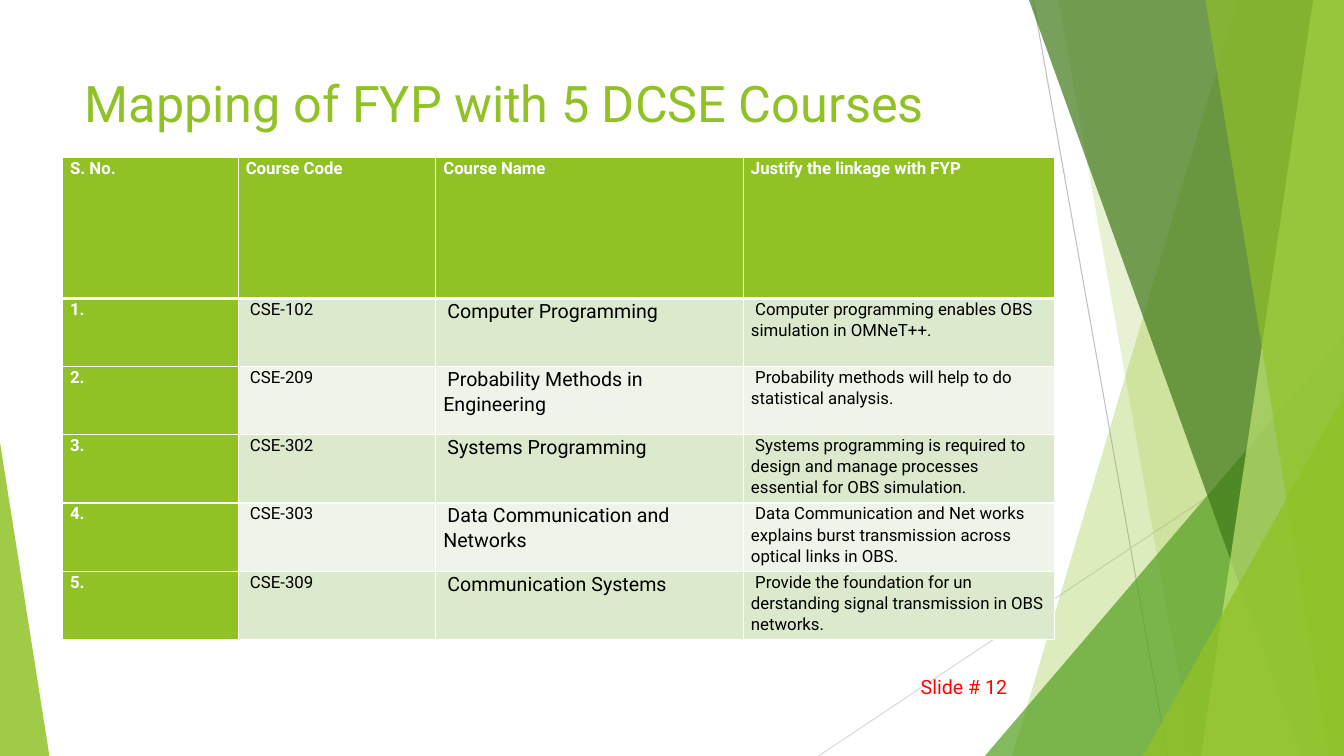
"""Build the slide that maps a final year project to five courses."""
from lxml.etree import SubElement
from pptx import Presentation
from pptx.dml.color import RGBColor
from pptx.enum.shapes import MSO_CONNECTOR, MSO_SHAPE
from pptx.enum.text import MSO_ANCHOR, MSO_AUTO_SIZE, PP_ALIGN
from pptx.oxml import parse_xml
from pptx.oxml.ns import nsdecls, qn
from pptx.util import Pt

GREEN = RGBColor(0x90, 0xC2, 0x26)
MID_GREEN = RGBColor(0x54, 0xA0, 0x21)
DARK_GREEN = RGBColor(0x3F, 0x78, 0x19)
LIME = RGBColor(0xC0, 0xE4, 0x74)
BAND_DARK = RGBColor(0xDB, 0xE9, 0xCD)
BAND_LIGHT = RGBColor(0xEE, 0xF4, 0xE8)
GREY = RGBColor(0xBF, 0xBF, 0xBF)
PALE_GREY = RGBColor(0xD9, 0xD9, 0xD9)
WHITE = RGBColor(0xFF, 0xFF, 0xFF)
BLACK = RGBColor(0, 0, 0)
RED = RGBColor(0xFF, 0, 0)

WIDTH, HEIGHT = 960, 540
COLUMN_WIDTHS = (125.5, 141.1, 219.8, 222)
HEADER_HEIGHT, ROW_HEIGHT = 100.8, 48.7
HEADINGS = ("S. No.", "Course Code", "Course Name", "Justify the linkage with FYP")
COURSES = (
    ("CSE-102", "Computer Programming",
     "Computer programming enables OBS simulation in OMNeT++."),
    ("CSE-209", "Probability Methods in Engineering",
     "Probability methods will help to do statistical analysis."),
    ("CSE-302", "Systems Programming",
     "Systems programming is required to design and manage processes "
     "essential for OBS simulation."),
    ("CSE-303", "Data Communication and Networks",
     "Data Communication and Net works explains burst transmission "
     "across optical links in OBS."),
    ("CSE-309", "Communication Systems",
     "Provide the foundation for un derstanding signal transmission "
     "in OBS networks."),
)


class SlideBuilder:
    """Hold the font and the current page, and add elements in points."""

    def __init__(self, page, font="Roboto"):
        """Keep the page and the font name."""
        self.page = page
        self.font = font

    def add_span(self, para, text, size, color, bold=False):
        """Add one formatted run to a paragraph."""
        span = para.add_run()
        span.text = text
        span.font.name = self.font
        span.font.size = Pt(size)
        span.font.bold = bold
        span.font.color.rgb = color

    def line(self, start, end, color):
        """Draw a thin straight line without a shadow."""
        connector = self.page.shapes.add_connector(
            MSO_CONNECTOR.STRAIGHT, *map(Pt, start + end))
        connector.line.color.rgb = color
        connector.line.width = Pt(0.75)
        SubElement(connector.element.spPr, qn("a:effectLst"))

    def paint(self, shape, color, opacity):
        """Give a shape a translucent fill and no outline."""
        shape.shadow.inherit = False
        shape.line.fill.background()
        shape.fill.solid()
        shape.fill.fore_color.rgb = color
        tint = next(shape.element.spPr.iter(qn("a:srgbClr")))
        SubElement(tint, qn("a:alpha"), val=str(opacity * 1000))

    def streak(self, top, bottom, color, opacity):
        """Fill the page to the right of a slanted edge."""
        outline = self.page.shapes.build_freeform(Pt(top), 0)
        corners = ((WIDTH, 0), (WIDTH, HEIGHT), (bottom, HEIGHT))
        outline.add_line_segments([(Pt(x), Pt(y)) for x, y in corners])
        self.paint(outline.convert_to_shape(), color, opacity)

    def triangle(self, left, top, width, apex, color, opacity):
        """Stand a triangle on the bottom edge of the page."""
        shape = self.page.shapes.add_shape(
            MSO_SHAPE.ISOSCELES_TRIANGLE,
            Pt(left), Pt(top), Pt(width), Pt(HEIGHT - top))
        shape.adjustments[0] = apex
        self.paint(shape, color, opacity)

    def title(self, text, left, top, width, height):
        """Place and fill the title placeholder."""
        box = self.page.shapes.title
        box.left, box.top, box.width, box.height = map(
            Pt, (left, top, width, height))
        frame = box.text_frame
        frame.auto_size = MSO_AUTO_SIZE.NONE
        frame.vertical_anchor = MSO_ANCHOR.TOP
        para = frame.paragraphs[0]
        para.alignment = PP_ALIGN.LEFT
        self.add_span(para, text, 36, GREEN)

    def label(self, text, left, top, width, height):
        """Add the right-aligned page label."""
        box = self.page.shapes.add_textbox(*map(Pt, (left, top, width, height)))
        frame = box.text_frame
        frame.word_wrap = True
        frame.margin_right = Pt(10.5)
        frame.vertical_anchor = MSO_ANCHOR.MIDDLE
        para = frame.paragraphs[0]
        para.alignment = PP_ALIGN.RIGHT
        self.add_span(para, text, 14, RED)

    def borders(self, cell, top, bottom):
        """Draw white borders round a cell."""
        properties = cell._tc.get_or_add_tcPr()
        sides = (("lnL", 1), ("lnR", 1), ("lnT", top), ("lnB", bottom))
        for place, (side, width) in enumerate(sides):
            properties.insert(place, parse_xml(
                f'<a:{side} {nsdecls("a")} w="{Pt(width)}"><a:solidFill>'
                f'<a:srgbClr val="{WHITE}"/></a:solidFill></a:{side}>'))

    def cell(self, cell, text, size, color, fill, strong):
        """Fill one table cell, indenting the text of plain cells."""
        cell.fill.solid()
        cell.fill.fore_color.rgb = fill
        cell.margin_left = cell.margin_right = Pt(5.3)
        cell.margin_top = cell.margin_bottom = 0
        para = cell.text_frame.paragraphs[0]
        para.line_spacing = 1.07
        para.space_after = Pt(8)
        if not strong:
            para._p.get_or_add_pPr().set("indent", str(Pt(3)))
        self.add_span(para, text, size, color, strong)

    def table(self, left, top, rows):
        """Add the course table with a green header row and first column."""
        table = self.page.shapes.add_table(
            len(rows), len(COLUMN_WIDTHS), Pt(left), Pt(top),
            Pt(sum(COLUMN_WIDTHS)),
            Pt(HEADER_HEIGHT + ROW_HEIGHT * (len(rows) - 1))).table
        for column, width in zip(table.columns, COLUMN_WIDTHS):
            column.width = Pt(width)
        for r, texts in enumerate(rows):
            table.rows[r].height = Pt(ROW_HEIGHT if r else HEADER_HEIGHT)
            band = BAND_DARK if r % 2 else BAND_LIGHT
            for c, text in enumerate(texts):
                strong = r == 0 or c == 0
                size = 14 if c == 2 and not strong else 12
                cell = table.cell(r, c)
                self.cell(cell, text, size, WHITE if strong else BLACK,
                          GREEN if strong else band, strong)
                self.borders(cell, 3 if r == 1 else 1, 1 if r else 3)


def main():
    """Build and save the deck."""
    deck = Presentation()
    deck.slide_width, deck.slide_height = Pt(WIDTH), Pt(HEIGHT)
    builder = SlideBuilder(deck.slides.add_slide(deck.slide_layouts[5]))

    builder.line((738, 0), (834, HEIGHT), GREY)
    builder.line((WIDTH, 290), (584.6, HEIGHT), PALE_GREY)
    builder.streak(884, 723, GREEN, 30)
    builder.streak(756, 852, GREEN, 20)
    builder.triangle(703.5, 239.8, 256.5, 1, MID_GREEN, 72)
    builder.streak(735, 929.5, DARK_GREEN, 70)
    builder.streak(938, 858, LIME, 70)
    builder.streak(861, 949, GREEN, 65)
    builder.triangle(816.5, 283, 143.5, 1, GREEN, 80)
    builder.triangle(0, 316, 35.3, 0, GREEN, 85)

    builder.title("Mapping of FYP with 5 DCSE Courses", 53.3, 48.2, 677, 103.7)
    rows = [HEADINGS] + [
        (f"{number}.", *course) for number, course in enumerate(COURSES, 1)]
    builder.table(44.8, 112.4, rows)
    builder.label("Slide # 12", 640, 476, 90, 28.8)
    deck.save("out.pptx")


if __name__ == "__main__":
    main()
